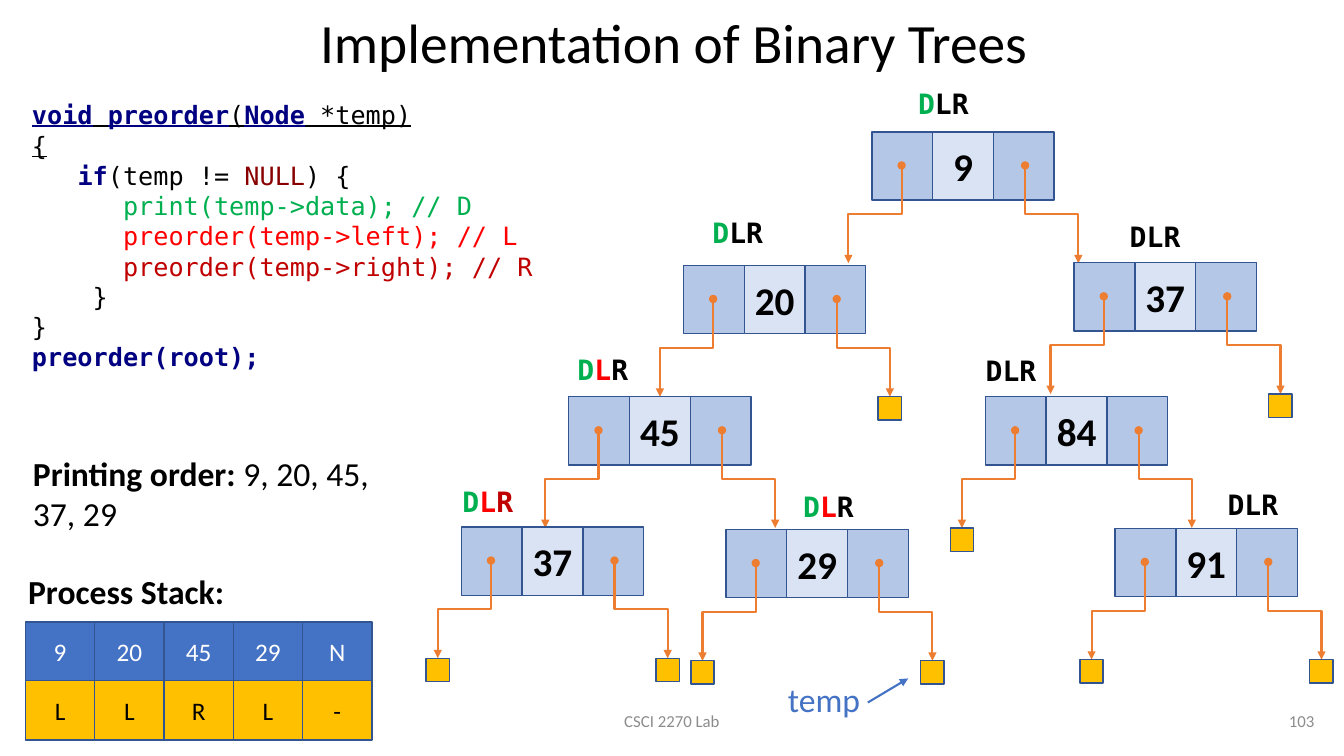
from pptx import Presentation
from pptx.dml.color import RGBColor
from pptx.enum.shapes import MSO_CONNECTOR, MSO_SHAPE
from pptx.enum.text import MSO_ANCHOR, PP_ALIGN
from pptx.oxml.ns import qn
from pptx.util import Pt
from lxml.etree import SubElement

COLORS = {
    "black": "000000", "white": "FFFFFF", "gray": "8C8C8C", "navy": "000080",
    "maroon": "880000", "green": "00B050", "red": "FF0000", "dark red": "C00000",
    "pointer": "B4C7E7", "value": "DAE3F3", "outline": "325491",
    "arrow": "ED7D31", "gold": "FFC000", "blue": "4472C4",
}
MONO = "DejaVu Sans Mono"
CODE_CHARACTER = 10.84


def add_text(lines, left, top, width, height, size=18, font="Calibri", color="black",
             bold=False, align=PP_ALIGN.LEFT, anchor=MSO_ANCHOR.TOP, spacing=None, fill=None):
    """Place lines of text, in a filled box if fill is given.

    A line is a string or a list of runs: (text, color, bold, underline).
    """
    area = Pt(left), Pt(top), Pt(width), Pt(height)
    if fill:
        box = slide.shapes.add_shape(MSO_SHAPE.RECTANGLE, *area)
        box.shadow.inherit = False
        box.fill.solid()
        box.fill.fore_color.rgb = RGBColor.from_string(COLORS[fill])
        box.line.color.rgb = RGBColor.from_string(COLORS["outline"])
        box.line.width = Pt(1)
    else:
        box = slide.shapes.add_textbox(*area)
    frame = box.text_frame
    frame.word_wrap = True
    frame.vertical_anchor = anchor
    for index, line in enumerate(lines):
        para = frame.add_paragraph() if index else frame.paragraphs[0]
        para.alignment = align
        para.line_spacing = spacing
        runs = [(line, color, bold, False)] if isinstance(line, str) else line
        for text, run_color, run_bold, underline in runs:
            span = para.add_run()
            span.text = text
            span.font.name = font
            span.font.size = Pt(size)
            span.font.bold = run_bold
            span.font.underline = underline
            span.font.color.rgb = RGBColor.from_string(COLORS[run_color])
    return box


def add_arrow(kind, begin_x, begin_y, end_x, end_y, color, turn=0, dot=False):
    """Draw an arrow, turned by some degrees about its centre."""
    arrow = slide.shapes.add_connector(kind, Pt(begin_x), Pt(begin_y), Pt(end_x), Pt(end_y))
    arrow.line.color.rgb = RGBColor.from_string(COLORS[color])
    arrow.line.width = Pt(1.5)
    properties = arrow._element.spPr
    if turn:
        properties.find(qn("a:xfrm")).set("rot", str(turn * 60000))
    outline = properties.find(qn("a:ln"))
    if dot:
        SubElement(outline, qn("a:headEnd"), type="oval")
    SubElement(outline, qn("a:tailEnd"), type="triangle")
    SubElement(properties, qn("a:effectLst"))


deck = Presentation()
deck.slide_width, deck.slide_height = Pt(960), Pt(540)
slide = deck.slides.add_slide(deck.slide_layouts[6])
centered = {"align": PP_ALIGN.CENTER, "anchor": MSO_ANCHOR.MIDDLE}

add_text(["Implementation of Binary Trees"], 16.5, 10.8, 929.5, 43.2,
         size=39.6, spacing=0.9, **centered)
add_text(["CSCI 2270 Lab"], 318, 500.4, 324, 28.8, size=12, color="gray", **centered)
add_text(["103"], 730, 500.4, 216, 28.8, size=12, color="gray",
         align=PP_ALIGN.RIGHT, anchor=MSO_ANCHOR.MIDDLE)

# Tree: value, left, top, sides without a child, label place, label colors
nodes = [
    ("9", 622.8, 94.2, "", (648.7, 58.3), ("green", "black", "black")),
    ("20", 488.2, 189.6, "R", (501.8, 150.5), ("green", "black", "black")),
    ("37", 767.2, 187.7, "R", (799.9, 153.4), ("black", "black", "black")),
    ("45", 406.3, 283.4, "", (405.4, 248.4), ("green", "red", "black")),
    ("29", 518.6, 378.2, "LR", (566.6, 346.3), ("green", "red", "black")),
    ("84", 703.9, 283.4, "L", (697, 249.1), ("black", "black", "black")),
    ("91", 796.5, 377.4, "LR", (869.8, 344.9), ("black", "black", "black")),
    ("37", 329.5, 376.4, "LR", (323.3, 342.7), ("green", "red", "dark red")),
]
CELL_WIDTH, CELL_HEIGHT = 43.4, 48.8
DROP, REACH = 69.8, 38
EMPTY = 16.6
for value, left, top, empty_sides, label_place, label_colors in nodes:
    for column, (text, fill) in enumerate([("", "pointer"), (value, "value"), ("", "pointer")]):
        add_text([text], left + column * CELL_WIDTH, top, CELL_WIDTH, CELL_HEIGHT,
                 size=28, bold=True, fill=fill, **centered)
    for side, offset, direction, turn in [("L", 21.2, -1, 90), ("R", 109.4, 1, 270)]:
        start_x, start_y = left + offset, top + 24
        middle_x, middle_y = start_x + direction * REACH / 2, start_y + DROP / 2
        add_arrow(MSO_CONNECTOR.ELBOW,
                  middle_x + direction * DROP / 2, middle_y - REACH / 2,
                  middle_x - direction * DROP / 2, middle_y + REACH / 2,
                  "arrow", turn=turn, dot=True)
        if side in empty_sides:
            add_text([], start_x + direction * REACH - EMPTY / 2, start_y + DROP,
                     EMPTY, EMPTY, fill="gold")
    label = [(letter, color, True, False) for letter, color in zip("DLR", label_colors)]
    add_text([label], *label_place, 76.3, 31.7, size=20, font=MONO)

# Code: indent in characters, runs
code = [
    (0, [("void", "navy", True, True), (" ", "black", False, True),
         ("preorder", "navy", True, True), ("(", "black", False, True),
         ("Node", "navy", True, True), (" *temp)", "black", False, True)]),
    (0, [("{", "black", False, True)]),
    (3, [("if", "navy", True, False), ("(temp != ", "black", False, False),
         ("NULL", "maroon", False, False), (") {", "black", False, False)]),
    (6, [("print(temp->data); // D", "green", False, False)]),
    (6, [("preorder(temp->left); // L", "red", False, False)]),
    (6, [("preorder(temp->right); // R", "dark red", False, False)]),
    (4, "}"),
    (0, "}"),
    (0, [("preorder(root);", "navy", True, False)]),
]
code_box = add_text([line for indent, line in code], 15.8, 67.7, 391, 203.8,
                    font=MONO, spacing=Pt(21.6))
for para, (indent, line) in zip(code_box.text_frame.paragraphs, code):
    para._p.get_or_add_pPr().set("marL", str(Pt(indent * CODE_CHARACTER)))

add_text([[("Printing order:", "black", True, False), (" 9, 20, 45,", "black", False, False)],
          "37, 29"], 16.5, 319.7, 268.6, 65.5, size=24)

# Process stack
add_text(["Process Stack:"], 13, 403.9, 268.6, 36, size=24, bold=True)
stack = [("9", "L"), ("20", "L"), ("45", "R"), ("29", "L"), ("N", "-")]
for column, (value, step) in enumerate(stack):
    left = 18.2 + column * 49.5
    add_text([value], left, 444.2, 49.5, 42.3, color="white", fill="blue", **centered)
    add_text([step], left, 486.3, 49.5, 42.3, fill="gold", **centered)

add_arrow(MSO_CONNECTOR.STRAIGHT, 619.9, 501.8, 648.7, 484.6, "blue")
add_text(["temp"], 555.8, 481.7, 67.7, 36, size=24, color="blue")

deck.save("out.pptx")
